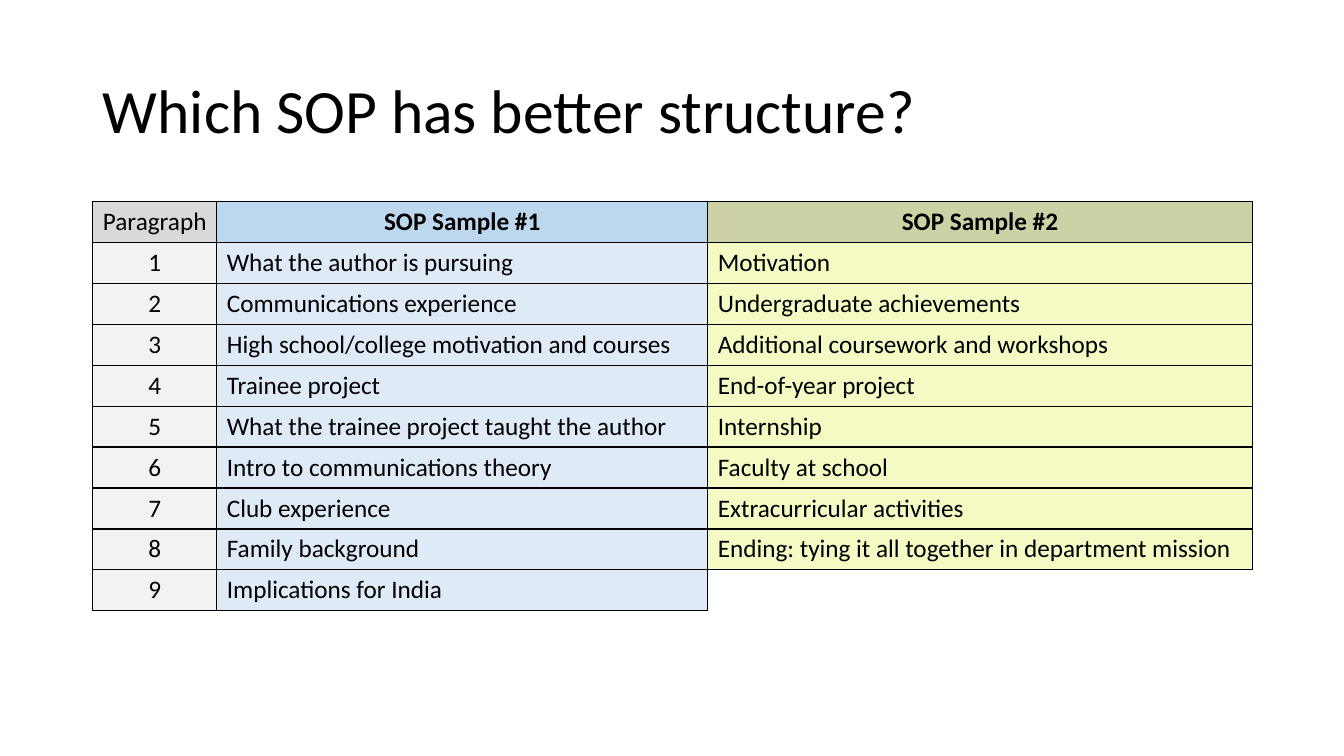
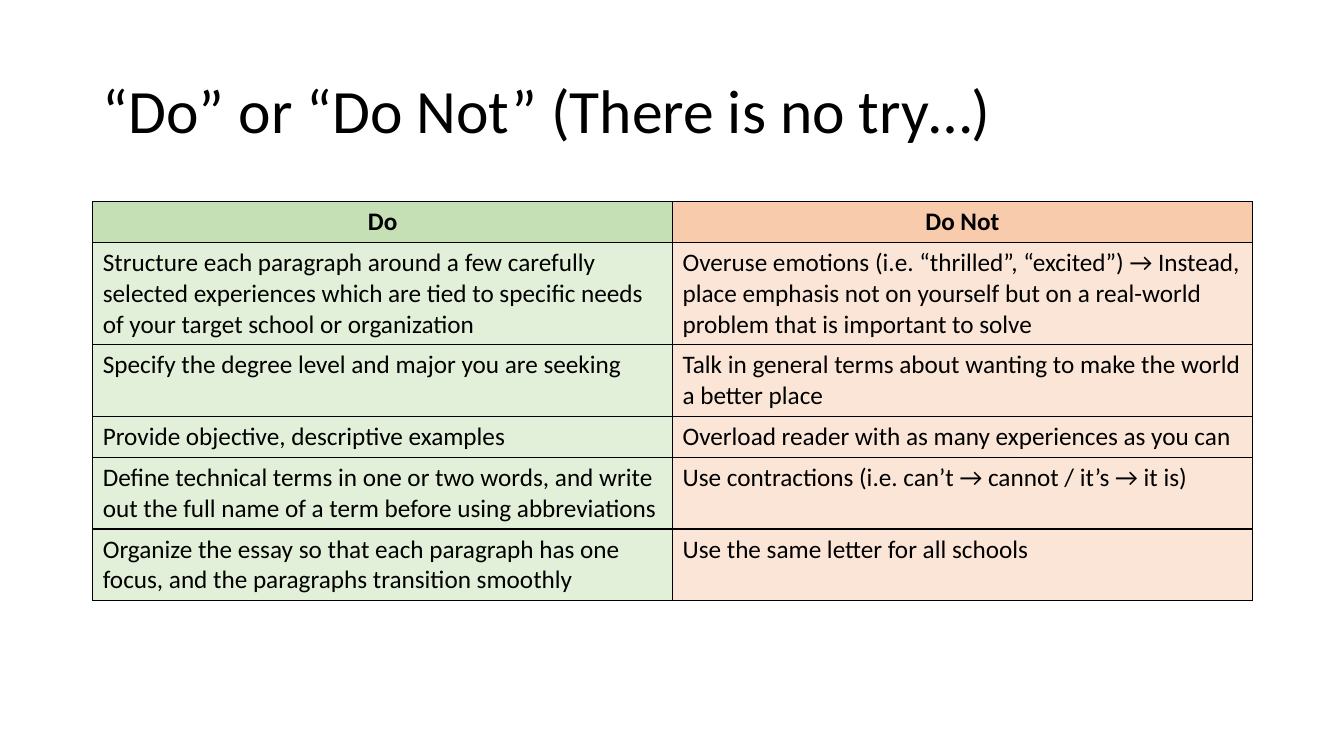
"""Build two slides on statements of purpose, each a title over a table."""
from dataclasses import dataclass

from lxml import etree
from pptx import Presentation
from pptx.dml.color import RGBColor
from pptx.enum.text import MSO_ANCHOR, MSO_AUTO_SIZE, PP_ALIGN
from pptx.oxml.ns import qn
from pptx.presentation import Presentation as Deck
from pptx.slide import Slide
from pptx.table import _Cell as Cell
from pptx.text.text import _Paragraph as Para
from pptx.util import Inches, Pt

LEFT, CENTER = PP_ALIGN.LEFT, PP_ALIGN.CENTER
MIDDLE = MSO_ANCHOR.MIDDLE
NO_FIT = MSO_AUTO_SIZE.NONE

FONT = "Calibri"
EDGE, WIDE = 0.92, 11.5
ROW = 4.06 / 10
COLORS = {
    "black": "000000",
    "gray": "D9D9D9", "pale gray": "F2F2F2",
    "blue": "BDD7EE", "pale blue": "DEEBF7",
    "olive": "CCD2A6", "pale olive": "F5F9C3",
    "green": "C5E0B4", "pale green": "E2F0D9",
    "orange": "F8CBAD", "pale orange": "FBE5D6",
}


@dataclass(frozen=True)
class Column:
    """A table column with its heading, hue and body texts."""
    head: str
    hue: str
    wide: float
    body: list[str]
    bold: bool = True
    align: PP_ALIGN = LEFT


@dataclass(frozen=True)
class Page:
    """A slide title with the columns and height of its table."""
    title: str
    tall: float
    columns: list[Column]


PAGES = [
    Page("Which SOP has better structure?", 4.06, [
        Column("Paragraph", "gray", 1.23, [str(n) for n in range(1, 10)],
               bold=False, align=CENTER),
        Column("SOP Sample #1", "blue", 4.87, [
            "What the author is pursuing",
            "Communications experience",
            "High school/college motivation and courses",
            "Trainee project",
            "What the trainee project taught the author",
            "Intro to communications theory",
            "Club experience",
            "Family background",
            "Implications for India",
        ]),
        Column("SOP Sample #2", "olive", 5.4, [
            "Motivation",
            "Undergraduate achievements",
            "Additional coursework and workshops",
            "End-of-year project",
            "Internship",
            "Faculty at school",
            "Extracurricular activities",
            "Ending: tying it all together in department mission",
        ]),
    ]),
    Page("“Do” or “Do Not” (There is no try…)", 3.91, [
        Column("Do", "green", WIDE / 2, [
            "Structure each paragraph around a few carefully selected "
            "experiences which are tied to specific needs of your target "
            "school or organization",
            "Specify the degree level and major you are seeking",
            "Provide objective, descriptive examples",
            "Define technical terms in one or two words, and write out the "
            "full name of a term before using abbreviations",
            "Organize the essay so that each paragraph has one focus, and "
            "the paragraphs transition smoothly",
        ]),
        Column("Do Not", "orange", WIDE / 2, [
            "Overuse emotions (i.e. “thrilled”, “excited”) → Instead, place "
            "emphasis not on yourself but on a real-world problem that is "
            "important to solve",
            "Talk in general terms about wanting to make the world a better "
            "place",
            "Overload reader with as many experiences as you can",
            "Use contractions (i.e. can’t → cannot / it’s → it is)",
            "Use the same letter for all schools",
        ]),
    ]),
]


def write(para: Para, text: str, size: int, align: PP_ALIGN,
          bold: bool = False) -> None:
    """Add one formatted run to a paragraph."""
    para.alignment = align
    run = para.add_run()
    run.text = text
    font = run.font
    font.name, font.size, font.bold = FONT, Pt(size), bold
    font.color.rgb = RGBColor.from_string(COLORS["black"])


def border(cell: Cell, sides: str) -> None:
    """Rule the named sides of a cell and clear the others."""
    props = cell._tc.get_or_add_tcPr()
    for side in "LRTB":
        line = etree.SubElement(props, qn(f"a:ln{side}"), w=str(Pt(1)))
        if side in sides:
            fill = etree.SubElement(line, qn("a:solidFill"))
            etree.SubElement(fill, qn("a:srgbClr"), val=COLORS["black"])
        else:
            etree.SubElement(line, qn("a:noFill"))


def put_cell(cell: Cell, text: str, hue: str, align: PP_ALIGN,
             bold: bool = False) -> None:
    """Fill, rule and letter one cell."""
    border(cell, "LRTB")
    cell.fill.solid()
    cell.fill.fore_color.rgb = RGBColor.from_string(COLORS[hue])
    write(cell.text_frame.paragraphs[0], text, 18, align, bold)


def put_title(slide: Slide, text: str) -> None:
    """Place and letter the title."""
    title = slide.shapes.title
    title.left, title.top = Inches(EDGE), Inches(0.4)
    title.width, title.height = Inches(WIDE), Inches(1.45)
    frame = title.text_frame
    frame.vertical_anchor, frame.auto_size = MIDDLE, NO_FIT
    para = frame.paragraphs[0]
    para.line_spacing = 0.9
    write(para, text, 44, LEFT)


def put_table(slide: Slide, page: Page) -> None:
    """Draw the table column by column, leaving missing cells open."""
    count = 1 + max(len(col.body) for col in page.columns)
    frame = slide.shapes.add_table(
        count, len(page.columns), Inches(EDGE), Inches(2),
        Inches(WIDE), Inches(page.tall))
    table = frame.table
    table.first_row = table.horz_banding = False
    for row in table.rows:
        row.height = Inches(ROW)
    for x, col in enumerate(page.columns):
        table.columns[x].width = Inches(col.wide)
        put_cell(table.cell(0, x), col.head, col.hue, CENTER, col.bold)
        for y, text in enumerate(col.body, 1):
            put_cell(table.cell(y, x), text, f"pale {col.hue}", col.align)
        for y in range(len(col.body) + 1, count):
            cell = table.cell(y, x)
            border(cell, "LT")
            cell.fill.background()
    frame.height = Inches(page.tall)


def build() -> Deck:
    """Build the deck from its pages."""
    deck = Presentation()
    deck.slide_width, deck.slide_height = Inches(13.33), Inches(7.5)
    for page in PAGES:
        slide = deck.slides.add_slide(deck.slide_layouts[5])
        put_title(slide, page.title)
        put_table(slide, page)
    return deck


build().save("out.pptx")
